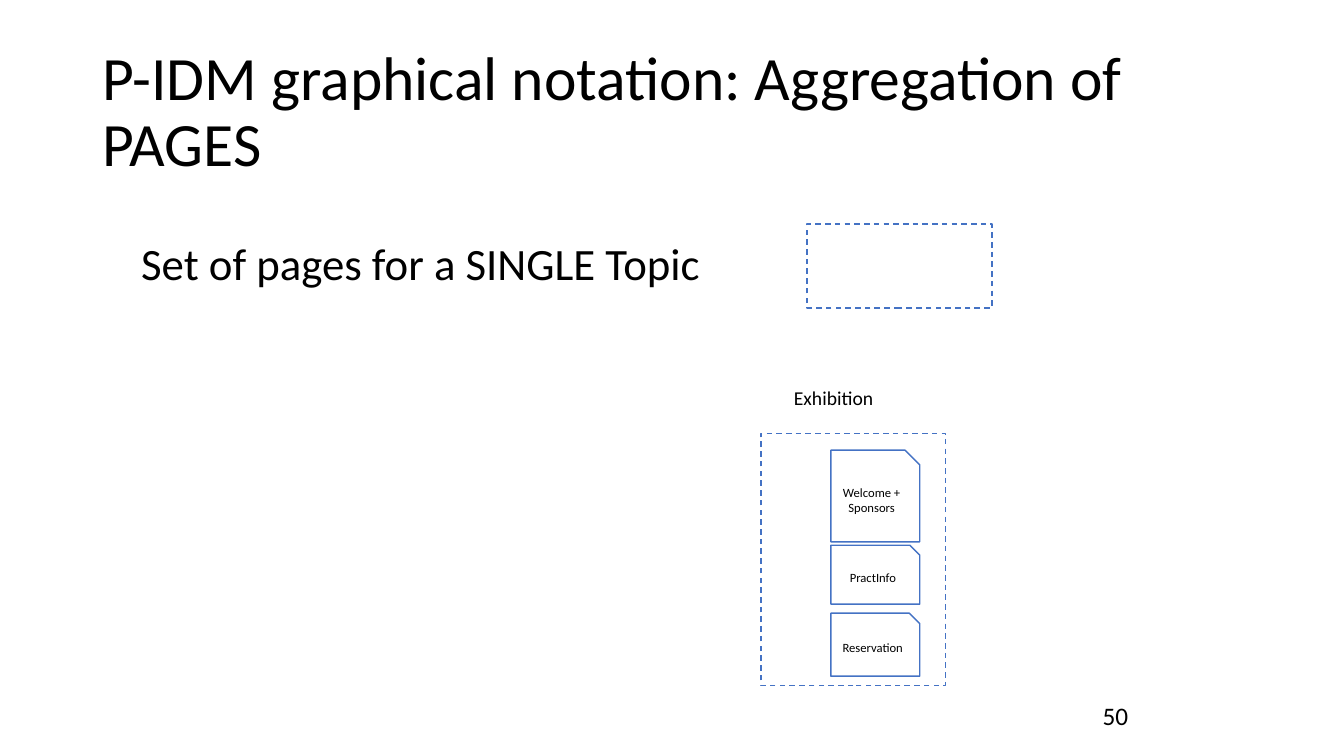
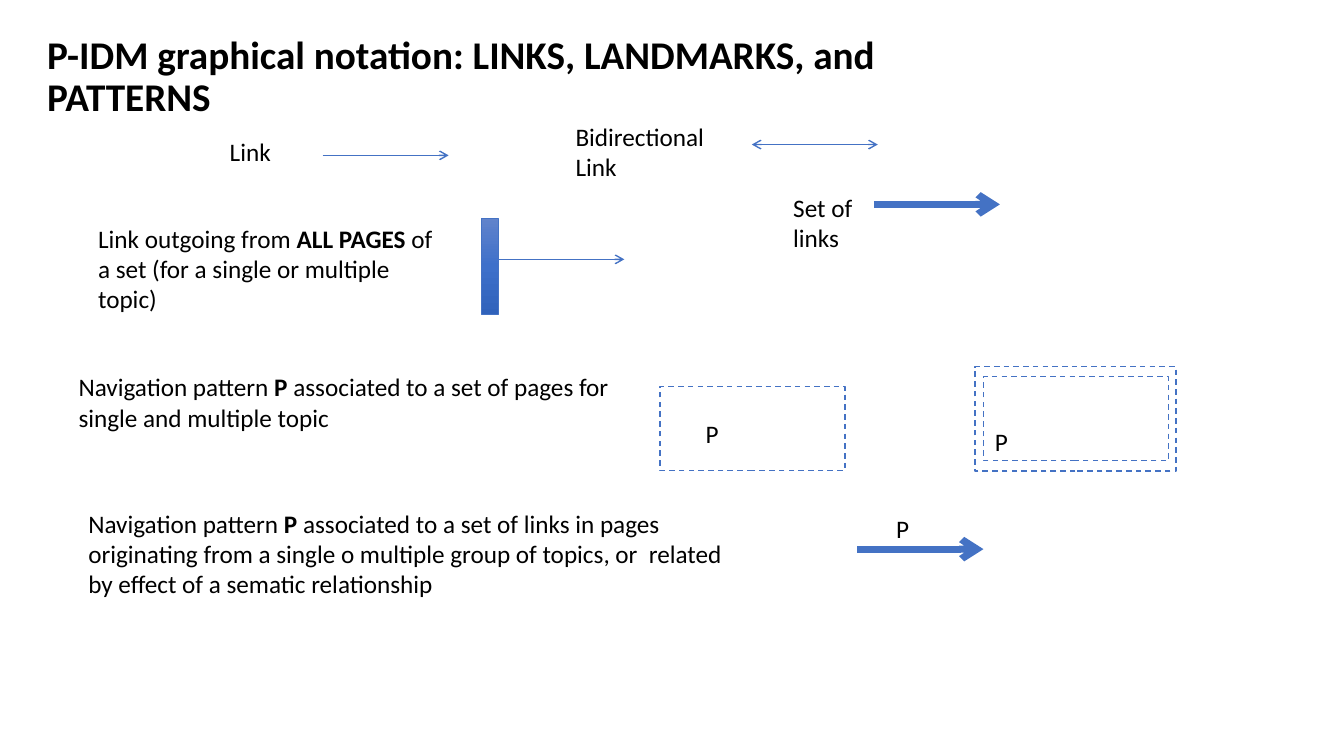
from copy import deepcopy

from pptx import Presentation
from pptx.dml.color import RGBColor
from pptx.enum import dml, shapes, text
from pptx.oxml import ns
from pptx.util import Pt
from lxml import etree

COLORS = {
    "ink": "000000",
    "paper": "FFFFFF",
    "line": "4472C4",
    "bar_top": "6183CB",
    "bar_middle": "3E70CA",
    "bar_bottom": "3062BB",
}
FONT = "Calibri"
SET_SIZE = (132, 60)
ARROW_LENGTH = 90


def rgb(name):
    """Return the named colour."""
    return RGBColor.from_string(COLORS[name])


def add_spans(para, spans, size):
    """Fill a paragraph with (wording, bold) runs."""
    for wording, bold in spans:
        span = para.add_run()
        span.text = wording
        span.font.name = FONT
        span.font.size = Pt(size)
        span.font.bold = bold
        span.font.color.rgb = rgb("ink")


def add_title(page, box, wording, size, bold=False):
    """Move and format the title placeholder."""
    title = page.shapes.title
    title.left, title.top, title.width, title.height = map(Pt, box)
    frame = title.text_frame
    frame.word_wrap = True
    frame.auto_size = text.MSO_AUTO_SIZE.NONE
    frame.vertical_anchor = text.MSO_ANCHOR.MIDDLE
    para = frame.paragraphs[0]
    para.alignment = text.PP_ALIGN.LEFT
    para.line_spacing = 0.9
    add_spans(para, [(wording, bold)], size)


def add_label(page, box, *spans, size=18):
    """Add a wrapped text box; plain strings are regular runs."""
    label = page.shapes.add_textbox(*map(Pt, box))
    label.text_frame.word_wrap = True
    runs = [(span, False) if isinstance(span, str) else span for span in spans]
    add_spans(label.text_frame.paragraphs[0], runs, size)


def add_outline(page, box, kind=shapes.MSO_SHAPE.RECTANGLE, width=1):
    """Add a white shape with a blue outline."""
    outline = page.shapes.add_shape(kind, *map(Pt, box))
    outline.shadow.inherit = False
    outline.fill.solid()
    outline.fill.fore_color.rgb = rgb("paper")
    outline.line.color.rgb = rgb("line")
    outline.line.width = Pt(width)
    return outline


def add_page_set(page, box):
    """Add the dashed frame that stands for a set of pages."""
    frame = add_outline(page, box)
    frame.line.dash_style = dml.MSO_LINE.DASH


def add_page_card(page, box, wording):
    """Add a snipped card that stands for one page."""
    card = add_outline(page, box, shapes.MSO_SHAPE.SNIP_1_RECTANGLE)
    frame = card.text_frame
    frame.word_wrap = True
    frame.vertical_anchor = text.MSO_ANCHOR.MIDDLE
    para = frame.paragraphs[0]
    para.alignment = text.PP_ALIGN.CENTER
    add_spans(para, [(wording, False)], 9)


def add_arrow(page, left, top, width=1, both=False):
    """Add a horizontal arrow, with a head at one end or both."""
    arrow = page.shapes.add_connector(
        shapes.MSO_CONNECTOR.STRAIGHT,
        Pt(left), Pt(top), Pt(left + ARROW_LENGTH), Pt(top))
    arrow.line.color.rgb = rgb("line")
    arrow.line.width = Pt(width)
    stroke = arrow.line._get_or_add_ln()
    for end in ("a:headEnd", "a:tailEnd") if both else ("a:tailEnd",):
        etree.SubElement(stroke, ns.qn(end)).set("type", "arrow")
    etree.SubElement(arrow._element.spPr, ns.qn("a:effectLst"))


def add_landmark(page, box):
    """Add the shaded bar with the arrow that leaves it."""
    left, top, width, height = box
    bar = add_outline(page, box, width=0.5)
    bar.fill.gradient()
    bar.fill.gradient_angle = 270
    first = bar._element.spPr.find(".//" + ns.qn("a:gs"))
    first.addnext(deepcopy(first))
    names = ("bar_top", "bar_middle", "bar_bottom")
    for index, (stop, name) in enumerate(zip(bar.fill.gradient_stops, names)):
        stop.position = index / 2
        stop.color.rgb = rgb(name)
    add_arrow(page, left + width, top + 29.5)


def add_exhibition(page, box):
    """Add the named example set with its page cards."""
    left, top, width, height = box
    add_label(page, (left + 16.5, top - 37.5, 88.5, 24.5), "Exhibition", size=14)
    add_page_set(page, box)
    cards = [("Welcome + Sponsors", 12, 65.5),
             ("PractInfo", 80, 42),
             ("Reservation", 128.5, 45)]
    for wording, offset, card_height in cards:
        add_page_card(page, (left + 50, top + offset, 63.5, card_height), wording)


def add_multiple_set(page, left, top):
    """Add the double frame for a set over multiple topics."""
    width, height = SET_SIZE
    add_page_set(page, (left, top, width + 11.5, height + 14.5))
    add_page_set(page, (left + 6, top + 7, width, height))


def build_aggregation(page):
    """Build the slide on sets of pages."""
    add_title(page, (66, 29, 828, 104.4),
              "P-IDM graphical notation: Aggregation of PAGES", 44)
    add_label(page, (93.75, 165, 425.5, 46), "Set of pages for a SINGLE Topic", size=32)
    add_page_set(page, (576.5, 160, *SET_SIZE))
    add_exhibition(page, (543.5, 309.5, 132, 180))
    add_label(page, (780.5, 497, 60, 52), "50")


def build_links(page):
    """Build the slide on links, landmarks and patterns."""
    add_title(page, (26.5, 11.5, 703, 88),
              "P-IDM graphical notation: LINKS, LANDMARKS, and PATTERNS", 28, True)

    add_label(page, (157, 94, 62.5, 29), "Link")
    add_arrow(page, 230.5, 111)
    add_label(page, (404, 83, 131, 51), "Bidirectional Link")
    add_arrow(page, 537, 103.25, both=True)
    add_label(page, (559.5, 133.5, 62.5, 51), "Set of links")
    add_arrow(page, 624.25, 146, width=5)

    add_label(page, (63, 155.75, 263.5, 73),
              "Link outgoing from ", ("ALL PAGES ", True),
              "of a set (for a single or multiple topic)")
    add_landmark(page, (344, 155.75, 12, 69))

    add_label(page, (49, 262, 397.5, 51),
              "Navigation pattern ", ("P ", True),
              "associated to a set of pages for single and multiple topic")
    add_page_set(page, (471.5, 276, *SET_SIZE))
    add_label(page, (497, 295.5, 48, 29), "P")
    add_multiple_set(page, 696.5, 262)
    add_label(page, (703.5, 301.25, 48, 29), "P")

    add_label(page, (56, 359.5, 479.5, 73),
              "Navigation pattern ", ("P", True),
              " associated to a set of links in pages originating from a single "
              "o multiple group of topics, or  related by effect of a sematic "
              "relationship")
    add_arrow(page, 612.5, 392.25, width=5)
    add_label(page, (633, 363.25, 48, 29), "P")


def main():
    """Build and save the deck."""
    deck = Presentation()
    deck.slide_width, deck.slide_height = Pt(960), Pt(540)
    title_only = deck.slide_layouts[5]
    for build in (build_aggregation, build_links):
        build(deck.slides.add_slide(title_only))
    deck.save("out.pptx")


main()
